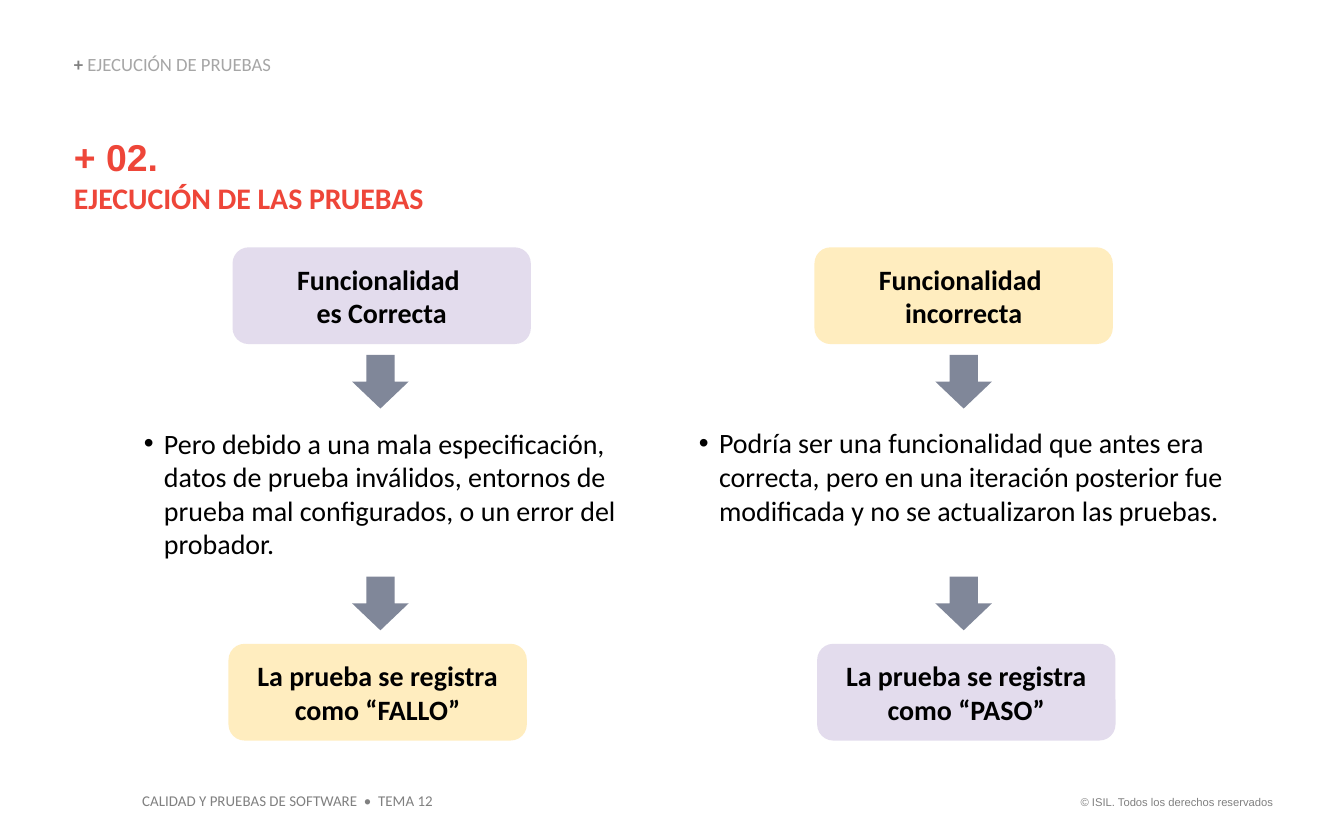
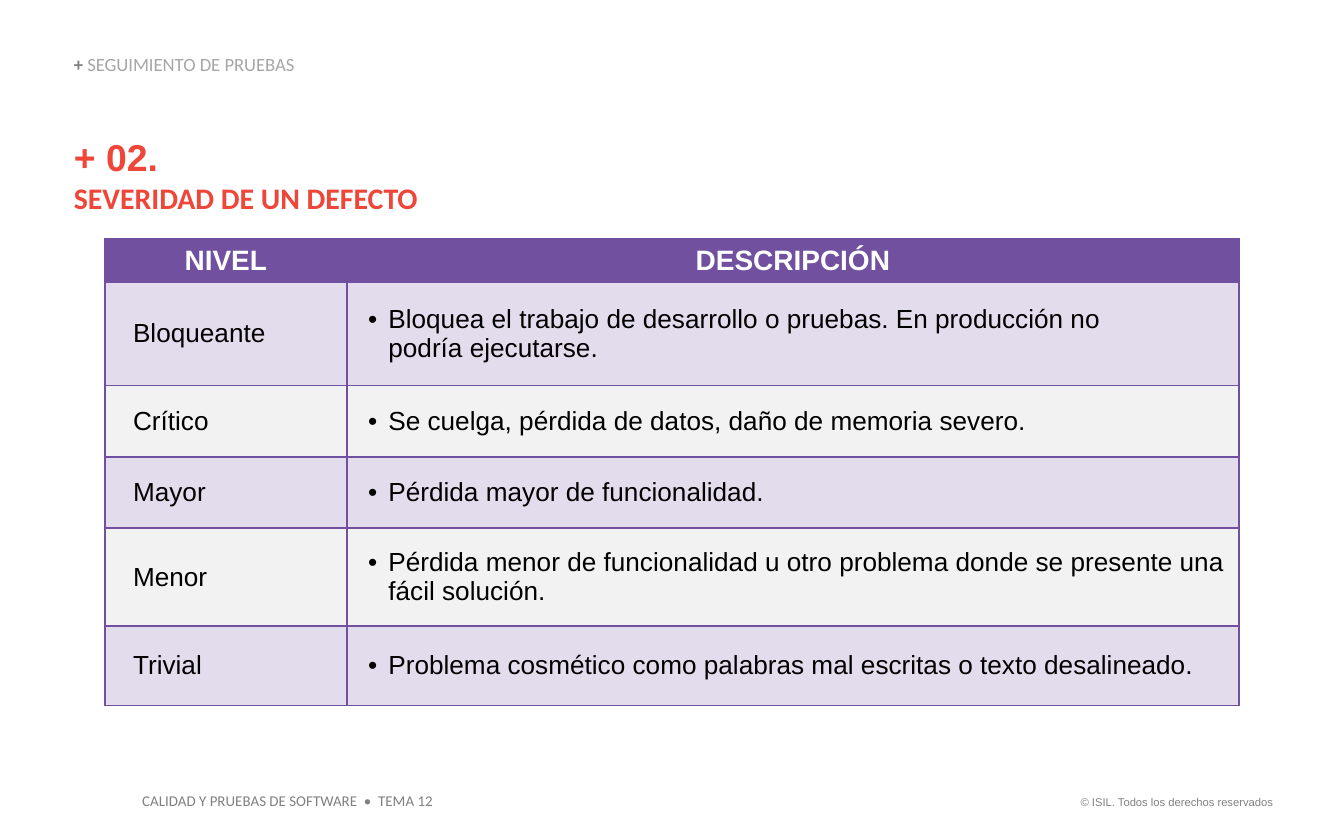
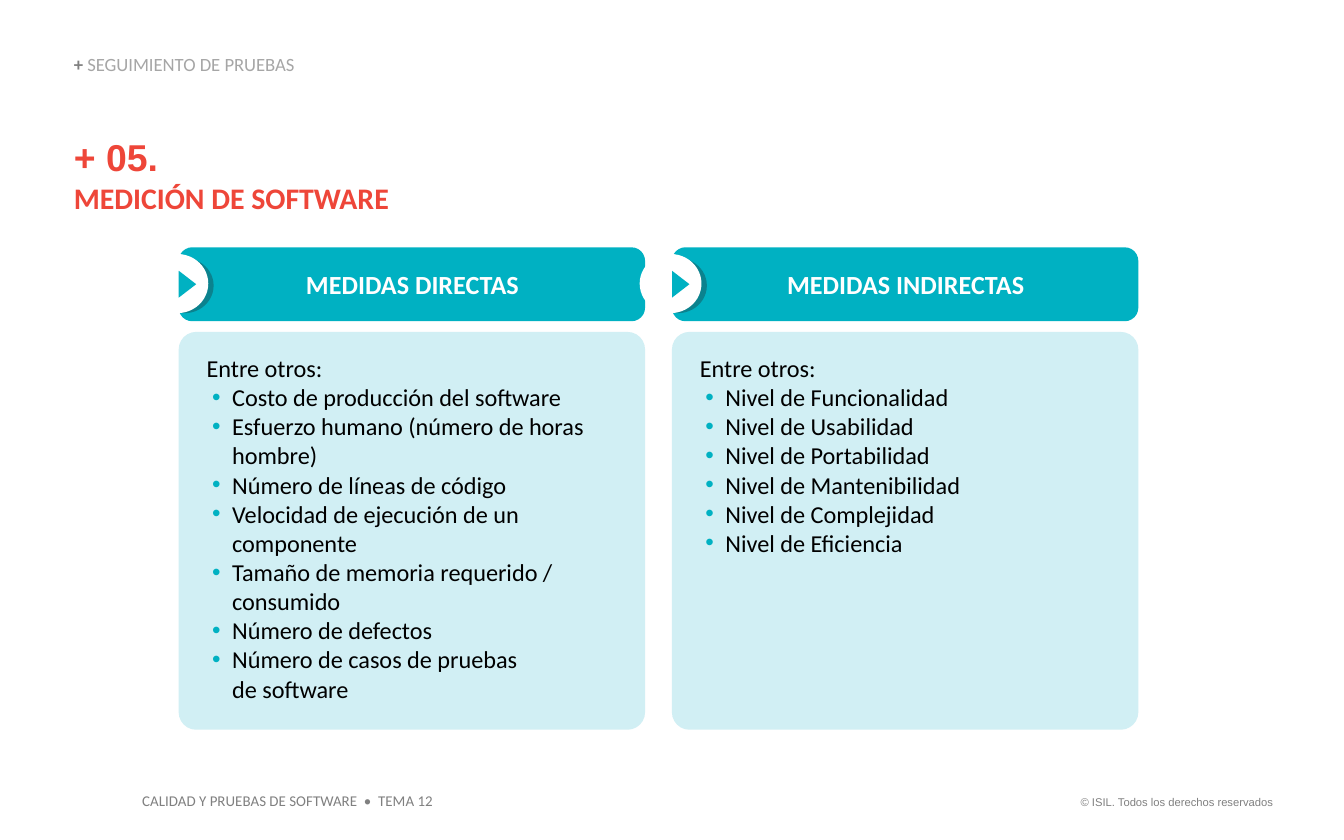
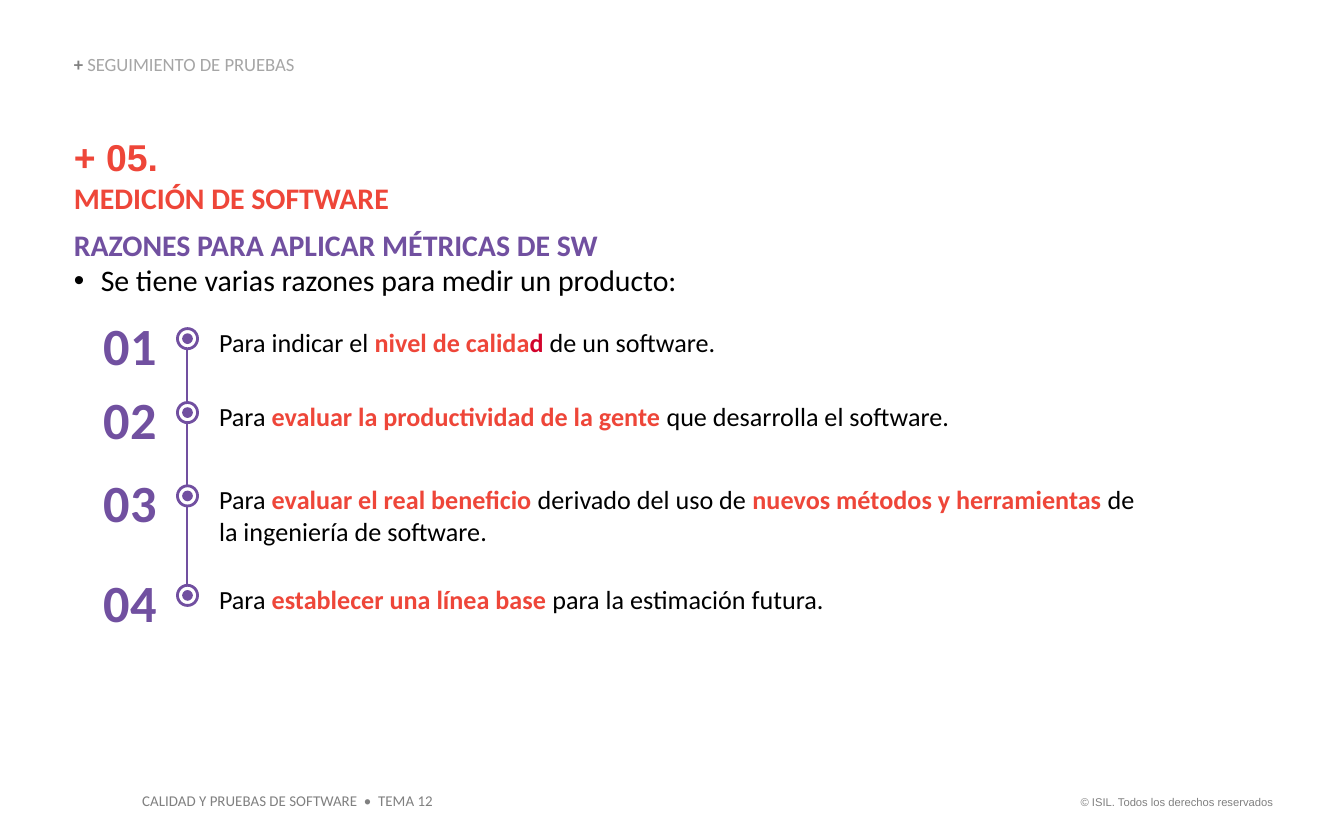
from copy import deepcopy
from dataclasses import dataclass
from typing import NamedTuple

from lxml import etree
from pptx import Presentation
from pptx.dml.color import RGBColor
from pptx.enum.shapes import MSO_CONNECTOR, MSO_SHAPE
from pptx.enum.text import MSO_ANCHOR, MSO_AUTO_SIZE, PP_ALIGN
from pptx.oxml.ns import qn
from pptx.util import Inches, Pt

WIDTH, HEIGHT = Inches(10), Inches(6.25)
TITLE_ONLY = 5

ROUNDED, ELLIPSE = MSO_SHAPE.ROUNDED_RECTANGLE, MSO_SHAPE.OVAL
ARROW, TRIANGLE = MSO_SHAPE.RIGHT_ARROW, MSO_SHAPE.ISOSCELES_TRIANGLE
STRAIGHT = MSO_CONNECTOR.STRAIGHT
LEFT, CENTER, RIGHT = PP_ALIGN.LEFT, PP_ALIGN.CENTER, PP_ALIGN.RIGHT
TOP, MIDDLE, BOTTOM = MSO_ANCHOR.TOP, MSO_ANCHOR.MIDDLE, MSO_ANCHOR.BOTTOM
GROW = MSO_AUTO_SIZE.SHAPE_TO_FIT_TEXT

BLACK, WHITE = RGBColor(0, 0, 0), RGBColor(255, 255, 255)
GRAY, SILVER = RGBColor(0x80, 0x80, 0x80), RGBColor(0xA6, 0xA6, 0xA6)
SLATE, MIST = RGBColor(0x80, 0x87, 0x99), RGBColor(0xF2, 0xF2, 0xF2)
RED, CRIMSON = RGBColor(0xEE, 0x46, 0x39), RGBColor(0xD2, 0x03, 0x2B)
PURPLE, RING_PURPLE = RGBColor(0x71, 0x50, 0xA0), RGBColor(0x71, 0x4F, 0xA0)
LILAC, CREAM = RGBColor(0xE3, 0xDC, 0xED), RGBColor(0xFF, 0xED, 0xBF)
TEAL, DARK_TEAL = RGBColor(0x00, 0xB1, 0xC2), RGBColor(0x0B, 0x82, 0x8E)
PALE_TEAL = RGBColor(0xD1, 0xEF, 0xF4)

BODY_FONT, NUMBER_FONT = "Calibri", "Arial"
NO_INSETS = (0, 0, 0, 0)
SHAPE_INSETS = (1, 0.5, 1, 0.5)
PANEL_INSETS = (1.2, 1.2, 1.2, 0.5)
CELL_INSETS = (0.6, 0.3, 0.6, 0.3)


class Area(NamedTuple):
    """Left, top, width and height in hundredths of the slide's size."""

    left: float
    top: float
    width: float
    height: float


@dataclass(frozen=True)
class Span:
    """A stretch of text with the format that differs from its paragraph."""

    text: str
    color: RGBColor | None = None
    bold: bool | None = None
    size: float | None = None
    font: str | None = None


@dataclass(frozen=True)
class Case:
    """A column of the flow, from the observed behaviour to the verdict."""

    start: str
    start_left: float
    start_fill: RGBColor
    reason: str
    reason_area: Area
    verdict: str
    verdict_left: float
    verdict_fill: RGBColor
    arrow_left: float


@dataclass(frozen=True)
class Panel:
    """A measure panel with its heading and bulleted items."""

    left: float
    heading: str
    items: tuple[str, ...]


@dataclass(frozen=True)
class Reason:
    """A numbered reason of the timeline."""

    top: float
    width: float
    height: float
    spans: tuple[Span, ...]


CASES = (
    Case("Funcionalidad \nes Correcta", 17.3, LILAC,
         "Pero debido a una mala especificación, datos de prueba inválidos, entornos de "
         "prueba mal configurados, o un error del probador.",
         Area(10.7, 50.72, 35.2, 16.16),
         "La prueba se registra como “FALLO”", 17, CREAM, 26.3),
    Case("Funcionalidad \nincorrecta", 60.6, CREAM,
         "Podría ser una funcionalidad que antes era correcta, pero en una iteración "
         "posterior fue modificada y no se actualizaron las pruebas.",
         Area(52, 50.72, 39.9, 12.16),
         "La prueba se registra como “PASO”", 60.8, LILAC, 69.7),
)

SEVERITIES = (
    ("Bloqueante", "Bloquea el trabajo de desarrollo o pruebas. En producción no \npodría ejecutarse."),
    ("Crítico", "Se cuelga, pérdida de datos, daño de memoria severo."),
    ("Mayor", "Pérdida mayor de funcionalidad."),
    ("Menor", "Pérdida menor de funcionalidad u otro problema donde se presente una fácil solución."),
    ("Trivial", "Problema cosmético como palabras mal escritas o texto desalineado."),
)
TABLE_COLUMNS = (18, 66.4)
TABLE_ROWS = (5.12, 12.32, 8.48, 8.48, 11.68, 9.44)

PANELS = (
    Panel(13.3, "MEDIDAS DIRECTAS",
          ("Costo de producción del software", "Esfuerzo humano (número de horas hombre)",
           "Número de líneas de código", "Velocidad de ejecución de un componente",
           "Tamaño de memoria requerido / consumido", "Número de defectos",
           "Número de casos de pruebas \nde software")),
    Panel(50, "MEDIDAS INDIRECTAS",
          tuple(f"Nivel de {quality}" for quality in (
              "Funcionalidad", "Usabilidad", "Portabilidad",
              "Mantenibilidad", "Complejidad", "Eficiencia"))),
)

REASONS = (
    Reason(37.28, 45.8, 3.84,
           (Span("Para indicar el "), Span("nivel de calida", RED, True),
            Span("d ", CRIMSON, True), Span("de un software."))),
    Reason(46.08, 57.6, 3.84,
           (Span("Para "), Span("evaluar la productividad de la gente ", RED, True),
            Span("que desarrolla el software."))),
    Reason(56, 69.2, 7.52,
           (Span("Para "), Span("evaluar el real beneficio ", RED, True),
            Span("derivado del uso de "), Span("nuevos métodos y herramientas ", RED, True),
            Span("de la ingeniería de software."))),
    Reason(67.84, 64.3, 3.84,
           (Span("Para "), Span("establecer una línea base ", RED, True),
            Span("para la estimación futura."))),
)


def columns(count: float) -> int:
    """Return the length of a number of grid columns."""
    return round(WIDTH * count / 100)


def rows(count: float) -> int:
    """Return the length of a number of grid rows."""
    return round(HEIGHT * count / 100)


def place(area: Area) -> tuple[int, int, int, int]:
    """Return the slide lengths of an area."""
    return columns(area.left), rows(area.top), columns(area.width), rows(area.height)


def add_bullet(para, color: RGBColor) -> None:
    """Give a paragraph a round bullet of one colour."""
    properties = para._p.get_or_add_pPr()
    tint = etree.SubElement(properties, qn("a:buClr"))
    etree.SubElement(tint, qn("a:srgbClr"), val=str(color))
    etree.SubElement(properties, qn("a:buFont"), typeface=NUMBER_FONT)
    etree.SubElement(properties, qn("a:buChar"), char="•")


def write(frame, text: str | tuple[Span, ...], *, size: float = 15, color: RGBColor = BLACK,
          bold: bool = False, font: str = BODY_FONT, align=LEFT, margin: float = 0,
          indent: float = 0, bullet: RGBColor | None = None, level: int = 0,
          after: float = 0, spacing: float | None = None) -> None:
    """Write one formatted paragraph at the end of a text frame."""
    para = frame.paragraphs[0]
    if para.runs:
        para = frame.add_paragraph()
    para.alignment, para.level = align, level
    properties = para._p.get_or_add_pPr()
    properties.set("marL", str(columns(margin)))
    properties.set("indent", str(columns(indent)))
    if bullet is not None:
        add_bullet(para, bullet)
    para.space_after = Pt(after)
    if spacing:
        para.line_spacing = spacing
    for span in (Span(text),) if isinstance(text, str) else text:
        for index, line in enumerate(span.text.split("\n")):
            if index:
                para.add_line_break()
                para._p[-1].append(deepcopy(run.font._element))
            if not line:
                continue
            run = para.add_run()
            run.text = line
            run.font.size = Pt(span.size or size)
            run.font.name = span.font or font
            run.font.bold = bold if span.bold is None else span.bold
            run.font.color.rgb = span.color or color


def set_frame(frame, insets: tuple[float, ...], anchor=TOP, wrap: bool = True):
    """Set the insets, anchor and wrapping of a text frame."""
    (frame.margin_left, frame.margin_top,
     frame.margin_right, frame.margin_bottom) = map(columns, insets)
    frame.vertical_anchor = anchor
    frame.word_wrap = wrap
    return frame


def add_text(page, area: Area, insets=NO_INSETS, anchor=TOP, wrap: bool = True):
    """Add a text box that grows with its text."""
    box = page.shapes.add_textbox(*place(area))
    set_frame(box.text_frame, insets, anchor, wrap).auto_size = GROW
    return box


def add_box(shapes, kind, area: Area, fill: RGBColor, *, corner: float | None = None,
            line: RGBColor | None = None, rotation: float = 0,
            insets=SHAPE_INSETS, anchor=MIDDLE):
    """Add a flat preset shape and return its text frame."""
    box = shapes.add_shape(kind, *place(area))
    box.shadow.inherit = False
    box.rotation = rotation
    box.fill.solid()
    box.fill.fore_color.rgb = fill
    if line is None:
        box.line.fill.background()
    else:
        box.line.color.rgb = line
        box.line.width = Pt(1.5)
    if corner is not None:
        box.adjustments[0] = corner
    return set_frame(box.text_frame, insets, anchor)


def add_page(deck, section: str, number: str, heading: str,
             width: float = 83.5, height: float = 9.76):
    """Add a slide with its section label and numbered title."""
    page = deck.slides.add_slide(deck.slide_layouts[TITLE_ONLY])
    title = page.shapes.title
    title.left, title.top, title.width, title.height = place(Area(5.5, 16, width, height))
    set_frame(title.text_frame, NO_INSETS).auto_size = GROW
    write(title.text_frame, (Span(f"+ {number}.\n", size=20, font=NUMBER_FONT), Span(heading)),
          size=16, color=RED, bold=True, after=6)
    label = add_text(page, Area(5.5, 6.56, 36.1, 2.4), anchor=BOTTOM)
    write(label.text_frame, (Span("+ ", GRAY, True), Span(section)),
          size=10, color=SILVER, spacing=0.9)
    return page


def add_footers(deck) -> None:
    """Put the shared footers on the title-only layout."""
    layout = deck.slide_layouts[TITLE_ONLY]
    for holder in list(layout.placeholders)[1:]:
        holder.element.getparent().remove(holder.element)
    page = deck.slides[0]
    rights = add_text(page, Area(78.8, 93.92, 16.9, 3.2), SHAPE_INSETS, wrap=False)
    write(rights.text_frame, "© ISIL. Todos los derechos reservados",
          size=6, color=GRAY, font=NUMBER_FONT, align=RIGHT)
    course = add_text(page, Area(9.6, 93.44, 23.7, 3.84), SHAPE_INSETS, wrap=False)
    write(course.text_frame, "CALIDAD Y PRUEBAS DE SOFTWARE  •  TEMA 12", size=8, color=GRAY)
    for footer in (rights, course):
        layout.shapes.element.append(footer.element)


def draw_case(page, case: Case) -> None:
    """Draw one column of the flow."""
    for text, left, top, fill in (
            (case.start, case.start_left, 29.44, case.start_fill),
            (case.verdict, case.verdict_left, 76.64, case.verdict_fill)):
        frame = add_box(page.shapes, ROUNDED, Area(left, top, 22.2, 11.52), fill, corner=0.167)
        write(frame, text, bold=True, align=CENTER)
    reason = add_text(page, case.reason_area)
    write(reason.text_frame, case.reason, margin=1.5, indent=-1.5, bullet=BLACK)
    for top in (42.08, 68.48):
        add_box(page.shapes, ARROW, Area(case.arrow_left, top, 4, 6.72), SLATE, rotation=90)


def fill_cell(cell, text: str, fill: RGBColor, **text_format) -> None:
    """Fill, outline and write one table cell."""
    properties = cell._tc.get_or_add_tcPr()
    for side in ("a:lnL", "a:lnR", "a:lnT", "a:lnB"):
        border = etree.SubElement(properties, qn(side), w=str(Pt(1)))
        solid = etree.SubElement(border, qn("a:solidFill"))
        etree.SubElement(solid, qn("a:srgbClr"), val=str(PURPLE))
    cell.fill.solid()
    cell.fill.fore_color.rgb = fill
    (cell.margin_left, cell.margin_top,
     cell.margin_right, cell.margin_bottom) = map(columns, CELL_INSETS)
    cell.vertical_anchor = MIDDLE
    write(cell.text_frame, text, font=NUMBER_FONT, **text_format)


def draw_severities(page) -> None:
    """Draw the table of severity levels."""
    area = Area(7.8, 28.48, sum(TABLE_COLUMNS), sum(TABLE_ROWS))
    table = page.shapes.add_table(len(TABLE_ROWS), len(TABLE_COLUMNS), *place(area)).table
    for column, width in zip(table.columns, TABLE_COLUMNS):
        column.width = columns(width)
    for row, height in zip(table.rows, TABLE_ROWS):
        row.height = rows(height)
    for index, text in enumerate(("NIVEL", "DESCRIPCIÓN")):
        fill_cell(table.cell(0, index), text, PURPLE, color=WHITE, bold=True, align=CENTER)
    for index, (level, description) in enumerate(SEVERITIES, 1):
        fill = LILAC if index % 2 else MIST
        fill_cell(table.cell(index, 0), level, fill, size=14, indent=1.5)
        fill_cell(table.cell(index, 1), description, fill, size=14,
                  margin=2.5, indent=-1.5, bullet=BLACK)


def draw_panel(page, panel: Panel) -> None:
    """Draw a measure panel with its heading and arrow badge."""
    heading = add_box(page.shapes, ROUNDED, Area(panel.left, 29.44, 34.7, 8.8), TEAL, corner=0.183)
    write(heading, panel.heading, size=14, color=WHITE, bold=True, align=CENTER, margin=0.1)
    body = add_box(page.shapes, ROUNDED, Area(panel.left, 39.52, 34.7, 47.36), PALE_TEAL,
                   corner=0.044, insets=PANEL_INSETS, anchor=TOP)
    write(body, "Entre otros:", size=13, margin=0.5)
    for item in panel.items:
        write(body, item, size=13, margin=2.4, indent=-1.5, bullet=TEAL, level=1)
    badge = page.shapes.add_group_shape().shapes
    add_box(badge, ELLIPSE, Area(panel.left - 1.7, 30.72, 4.3, 6.56), DARK_TEAL)
    add_box(badge, ELLIPSE, Area(panel.left - 2.4, 30.24, 4.6, 7.04), WHITE)
    add_box(badge, TRIANGLE, Area(panel.left - 0.35, 32.8, 2, 2.08), TEAL, rotation=90)


def draw_reasons(page) -> None:
    """Draw the timeline of numbered reasons."""
    axis = columns(13.9)
    line = page.shapes.add_connector(STRAIGHT, axis, rows(41.12), axis, rows(69.6))
    line.line.color.rgb = PURPLE
    line.line.width = Pt(1)
    etree.SubElement(line.element.spPr, qn("a:effectLst"))
    for index, reason in enumerate(REASONS, 1):
        number = add_text(page, Area(7.5, reason.top, 4.4, 7.52))
        write(number.text_frame, f"{index:02}", size=28, color=PURPLE, bold=True, align=CENTER)
        text = add_text(page, Area(16.3, reason.top + 1.6, reason.width, reason.height))
        write(text.text_frame, reason.spans, size=14)
        marker = page.shapes.add_group_shape().shapes
        ring_top = reason.top + 1.84
        add_box(marker, ELLIPSE, Area(13.2, ring_top, 1.5, 2.4), WHITE, line=RING_PURPLE)
        add_box(marker, ELLIPSE, Area(13.55, ring_top + 0.56, 0.8, 1.28), RING_PURPLE)


def main() -> None:
    """Build the four slides and save the deck."""
    deck = Presentation()
    deck.slide_width, deck.slide_height = WIDTH, HEIGHT
    tracking = "SEGUIMIENTO DE PRUEBAS"

    page = add_page(deck, "EJECUCIÓN DE PRUEBAS", "02", "EJECUCIÓN DE LAS PRUEBAS")
    add_footers(deck)
    for case in CASES:
        draw_case(page, case)

    draw_severities(add_page(deck, tracking, "02", "SEVERIDAD DE UN DEFECTO", width=29.9))

    page = add_page(deck, tracking, "05", "MEDICIÓN DE SOFTWARE")
    for panel in PANELS:
        draw_panel(page, panel)

    page = add_page(deck, tracking, "05", "MEDICIÓN DE SOFTWARE", height=19.68)
    frame = page.shapes.title.text_frame
    write(frame, "RAZONES PARA APLICAR MÉTRICAS DE SW", size=16, color=PURPLE, bold=True)
    write(frame, "Se tiene varias razones para medir un producto:", size=16,
          margin=2, indent=-2, bullet=BLACK)
    draw_reasons(page)

    deck.save("out.pptx")


if __name__ == "__main__":
    main()
